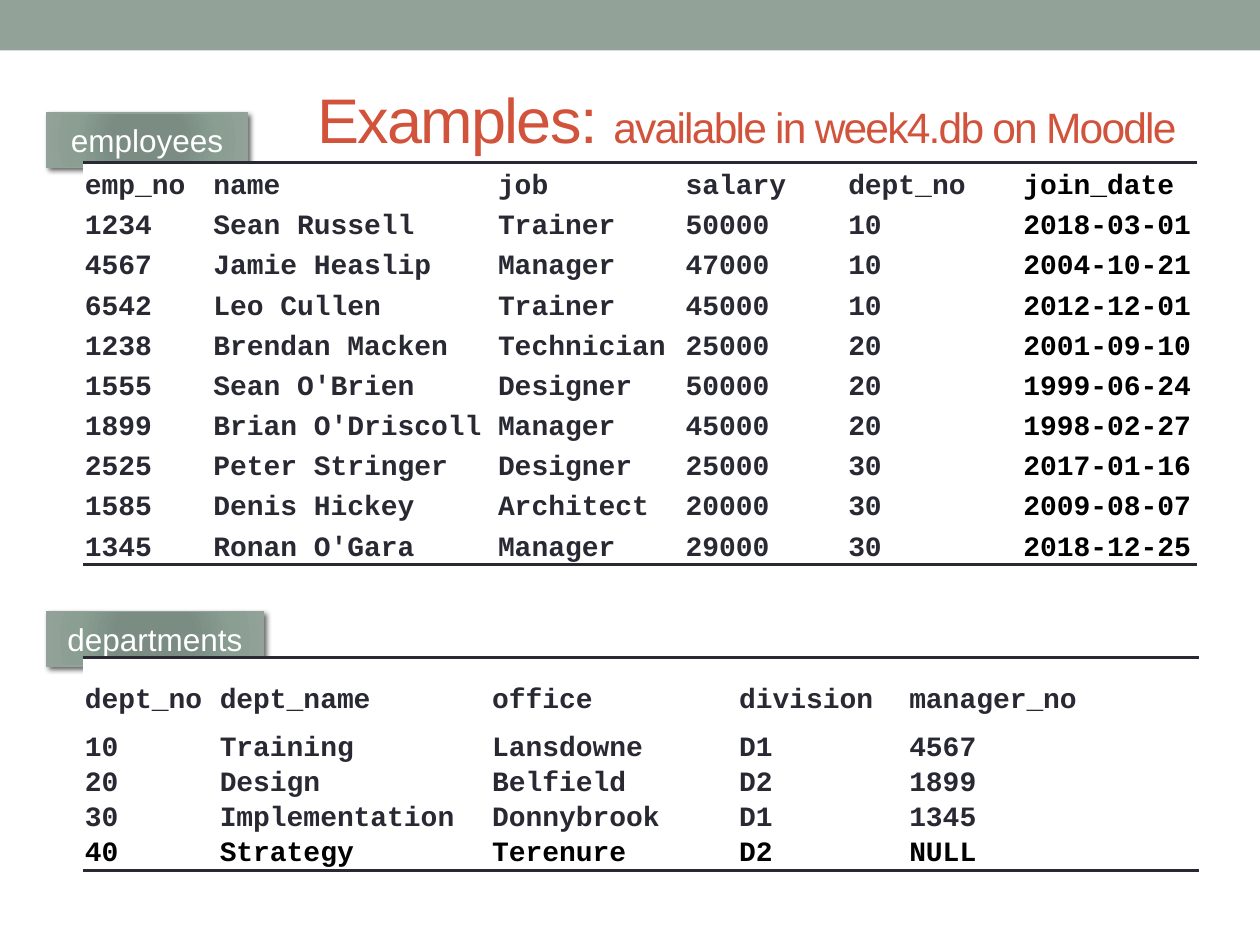
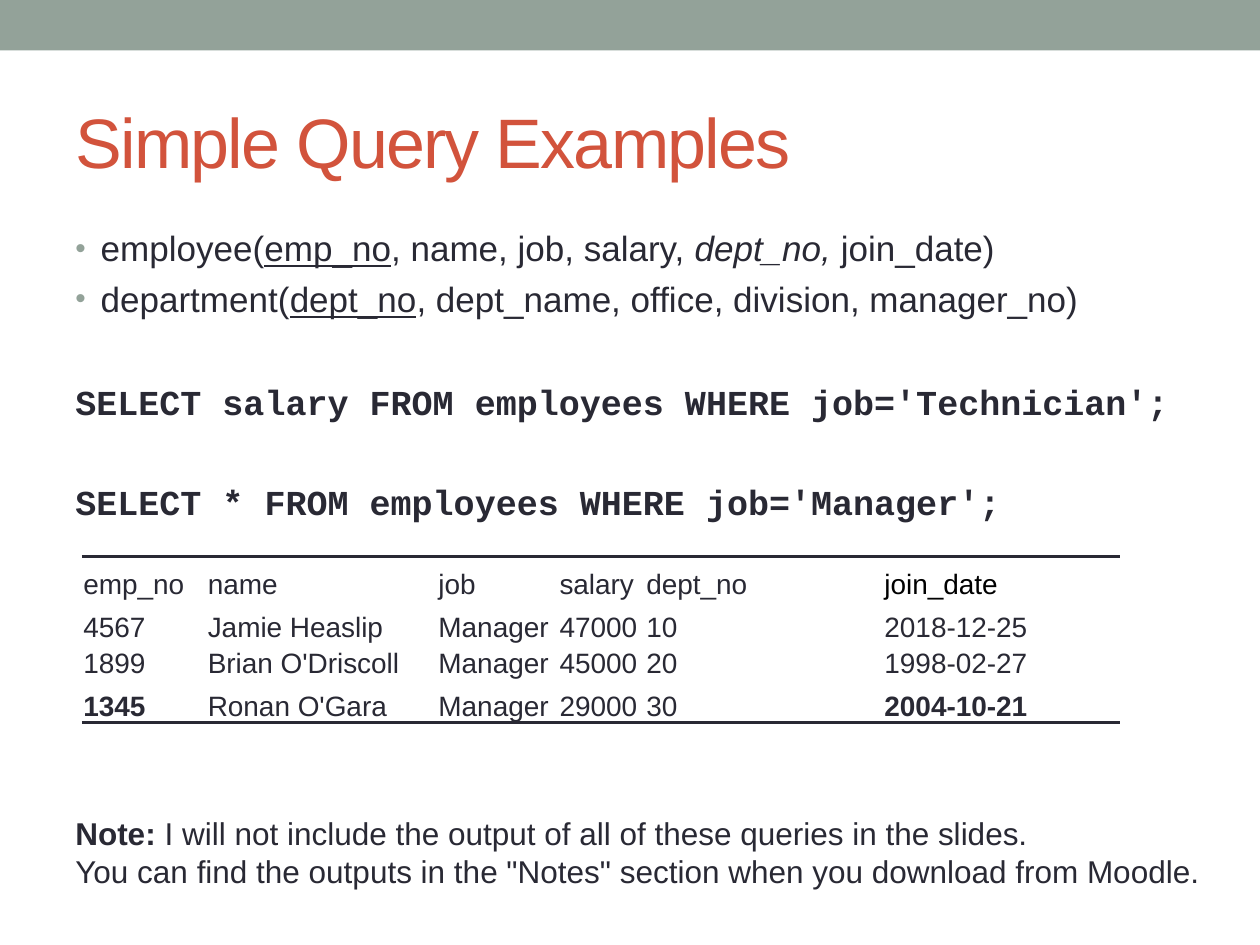
from pptx import Presentation
from pptx.dml.color import RGBColor as Rgb
from pptx.enum.shapes import MSO_SHAPE as Shape
from pptx.enum.text import MSO_ANCHOR as Anchor, PP_ALIGN as Align
from pptx.oxml import parse_xml
from pptx.util import Cm, Pt

COLORS = {
    "sage": "93A299", "deep": "7B8E82", "deep2": "7B8D83", "mid": "8A9E92",
    "title": "D2533C", "ink": "292934", "black": "000000", "white": "FFFFFF",
}
SANS, MONO = "Arial", "Courier New"
NS = 'xmlns:a="http://schemas.openxmlformats.org/drawingml/2006/main"'
NO_TABLE_STYLE = "{2D5ABB26-0587-4C30-8999-92F81FD0307C}"


def write(paragraph, text, size=16, font=SANS, color="ink", bold=False,
          italic=False, underline=False, tracking=0):
    run = paragraph.add_run()
    run.text = text
    run.font.name, run.font.size = font, Pt(size)
    run.font.bold, run.font.italic, run.font.underline = bold, italic, underline
    run.font.color.rgb = Rgb.from_string(COLORS[color])
    if tracking:
        run.font._element.set("spc", str(tracking * 100))


def add_ruled_table(slide, left, top, widths, heights, rows, cell_format):
    """Place a white table with a rule above and below; cell_format(row, column) gives text options."""
    frame = slide.shapes.add_table(len(rows), len(widths), Cm(left), Cm(top),
                                   Cm(sum(widths)), Cm(sum(heights)))
    table = frame.table
    table.first_row = table.horz_banding = False
    table._tbl.tblPr[0].text = NO_TABLE_STYLE
    for column, width in zip(table.columns, widths):
        column.width = Cm(width)
    for r, (values, height) in enumerate(zip(rows, heights)):
        table.rows[r].height = Cm(height)
        for c, value in enumerate(values):
            cell = table.cell(r, c)
            cell.margin_left = cell.margin_right = cell.margin_top = Cm(0.03)
            cell.margin_bottom = 0
            cell.vertical_anchor = Anchor.BOTTOM
            cell.fill.solid()
            cell.fill.fore_color.rgb = Rgb.from_string(COLORS["white"])
            write(cell.text_frame.paragraphs[0], value, **cell_format(r, c))
            for side, edge_row in (("lnT", 0), ("lnB", len(rows) - 1)):
                if r == edge_row:
                    cell._tc.get_or_add_tcPr().insert(0, parse_xml(
                        f'<a:{side} {NS} w="25400"><a:solidFill><a:srgbClr val="{COLORS["ink"]}"/>'
                        f'</a:solidFill></a:{side}>'))


prs = Presentation()
prs.slide_width, prs.slide_height = Cm(25.4), Cm(19.05)

# Shared band and title
titles = [
    ((6.15, 1.02, 17.98, 2.74), [("Examples: ", 36), ("available in week4.db on Moodle", 24.3)]),
    ((1.27, 1.47, 22.86, 2.74), [("Simple Query Examples", 40)]),
]
for place, parts in titles:
    slide = prs.slides.add_slide(prs.slide_layouts[6])
    band = slide.shapes.add_shape(Shape.RECTANGLE, 0, 0, prs.slide_width, Cm(1.02))
    band.shadow.inherit = False
    band.fill.solid()
    band.fill.fore_color.rgb = Rgb.from_string(COLORS["sage"])
    band.line.fill.background()
    title = slide.shapes.add_textbox(*map(Cm, place)).text_frame
    title.word_wrap = True
    title.vertical_anchor = Anchor.MIDDLE
    for text, size in parts:
        write(title.paragraphs[0], text, size=size, color="title", tracking=-1)
data_slide, query_slide = prs.slides

# Slide 1: table name labels
stops = "".join(
    f'<a:gs pos="{position * 1000}"><a:srgbClr val="{COLORS[color]}"/></a:gs>'
    for position, color in ((0, "deep"), (34, "deep2"), (70, "mid"), (100, "sage")))
for name, top, width in (("employees", 2.28, 4.05), ("departments", 12.33, 4.37)):
    label = data_slide.shapes.add_shape(Shape.RECTANGLE, Cm(0.94), Cm(top), Cm(width), Cm(1.1))
    label.fill.background()
    label.line.color.rgb = Rgb.from_string(COLORS["sage"])
    label.line.width = Pt(0.75)
    properties = label._element.spPr
    properties.replace(properties.find("{*}noFill"), parse_xml(
        f'<a:gradFill {NS}><a:gsLst>{stops}</a:gsLst><a:path path="circle">'
        '<a:fillToRect l="100000" t="100000" r="100000" b="100000"/></a:path></a:gradFill>'))
    properties.append(parse_xml(
        f'<a:effectLst {NS}><a:outerShdw blurRad="38100" dist="25400" dir="2700000" rotWithShape="0">'
        f'<a:srgbClr val="{COLORS["black"]}"><a:alpha val="60000"/></a:srgbClr>'
        '</a:outerShdw></a:effectLst>'))
    label.text_frame.word_wrap = False
    label.text_frame.vertical_anchor = Anchor.MIDDLE
    label.text_frame.paragraphs[0].alignment = Align.CENTER
    write(label.text_frame.paragraphs[0], name, size=18, color="white")

# Slide 1: employees
employees = [
    ("emp_no", "name", "job", "salary", "dept_no", "join_date"),
    ("1234", "Sean Russell", "Trainer", "50000", "10", "2018-03-01"),
    ("4567", "Jamie Heaslip", "Manager", "47000", "10", "2004-10-21"),
    ("6542", "Leo Cullen", "Trainer", "45000", "10", "2012-12-01"),
    ("1238", "Brendan Macken", "Technician", "25000", "20", "2001-09-10"),
    ("1555", "Sean O'Brien", "Designer", "50000", "20", "1999-06-24"),
    ("1899", "Brian O'Driscoll", "Manager", "45000", "20", "1998-02-27"),
    ("2525", "Peter Stringer", "Designer", "25000", "30", "2017-01-16"),
    ("1585", "Denis Hickey", "Architect", "20000", "30", "2009-08-07"),
    ("1345", "Ronan O'Gara", "Manager", "29000", "30", "2018-12-25"),
]
add_ruled_table(
    data_slide, 1.68, 3.28, [2.59, 5.74, 3.78, 3.28, 3.53, 3.53],
    [0.81] * len(employees), employees,
    lambda r, c: dict(font=MONO, bold=True, color="black" if c == 5 else "ink"))

# Slide 1: departments
departments = [
    ("dept_no", "dept_name", "office", "division", "manager_no"),
    ("10", "Training", "Lansdowne", "D1", "4567"),
    ("20", "Design", "Belfield", "D2", "1899"),
    ("30", "Implementation", "Donnybrook", "D1", "1345"),
    ("40", "Strategy", "Terenure", "D2", "NULL"),
]
add_ruled_table(
    data_slide, 1.68, 13.26, [2.72, 5.49, 4.98, 3.43, 5.87],
    [1.19, 0.97, 0.67, 0.67, 0.67], departments,
    lambda r, c: dict(font=MONO, bold=True, color="black" if r == 4 else "ink"))

# Slide 2: schemas and queries
underlined, italic, code = dict(underline=True), dict(italic=True), dict(font=MONO, bold=True)
body_lines = [
    (0, True, [("employee(", {}), ("emp_no", underlined), (", name, job, salary, ", {}),
               ("dept_no, ", italic), ("join_date)", {})]),
    (5, True, [("department(", {}), ("dept_no", underlined),
               (", dept_name, office, division, manager_no)", {})]),
    (35, False, [("SELECT salary FROM employees WHERE job='Technician';", code)]),
    (33, False, [("SELECT * FROM employees WHERE job='Manager';", code)]),
]
body = query_slide.shapes.add_textbox(Cm(1.27), Cm(4.45), Cm(22.86), Cm(13.54)).text_frame
body.word_wrap = True
for i, (space_before, bulleted, parts) in enumerate(body_lines):
    line = body.add_paragraph() if i else body.paragraphs[0]
    if bulleted:
        settings = line._p.get_or_add_pPr()
        settings.set("marL", str(Cm(0.51)))
        settings.set("indent", str(-Cm(0.51)))
        for bullet in (f'buClr {NS}><a:srgbClr val="{COLORS["sage"]}"/></a:buClr>',
                       f'buSzPct {NS} val="85000"/>',
                       f'buFont {NS} typeface="{SANS}"/>',
                       f'buChar {NS} char="•"/>'):
            settings.append(parse_xml("<a:" + bullet))
    if space_before:
        line.space_before = Pt(space_before)
    for text, options in parts:
        write(line, text, size=20, **options)

# Slide 2: result of the second query
managers = [
    ("emp_no", "name", "job", "salary", "dept_no", "join_date"),
    ("4567", "Jamie Heaslip", "Manager", "47000", "10", "2018-12-25"),
    ("1899", "Brian O'Driscoll", "Manager", "45000", "20", "1998-02-27"),
    ("1345", "Ronan O'Gara", "Manager", "29000", "30", "2004-10-21"),
]
add_ruled_table(
    query_slide, 1.65, 11.22, [2.51, 4.65, 2.44, 1.75, 4.8, 4.78],
    [0.88, 0.88, 0.67, 0.88], managers,
    lambda r, c: dict(bold=r == 3 and c in (0, 5),
                      color="black" if (r, c) == (0, 5) else "ink"))

# Slide 2: note
note = query_slide.shapes.add_textbox(Cm(1.27), Cm(16.28), Cm(23.22), Cm(1.8)).text_frame
note.word_wrap = False
write(note.paragraphs[0], "Note: ", size=18, bold=True)
write(note.paragraphs[0], "I will not include the output of all of these queries in the slides.", size=18)
write(note.add_paragraph(),
      'You can find the outputs in the "Notes" section when you download from Moodle.', size=18)

prs.save("out.pptx")
